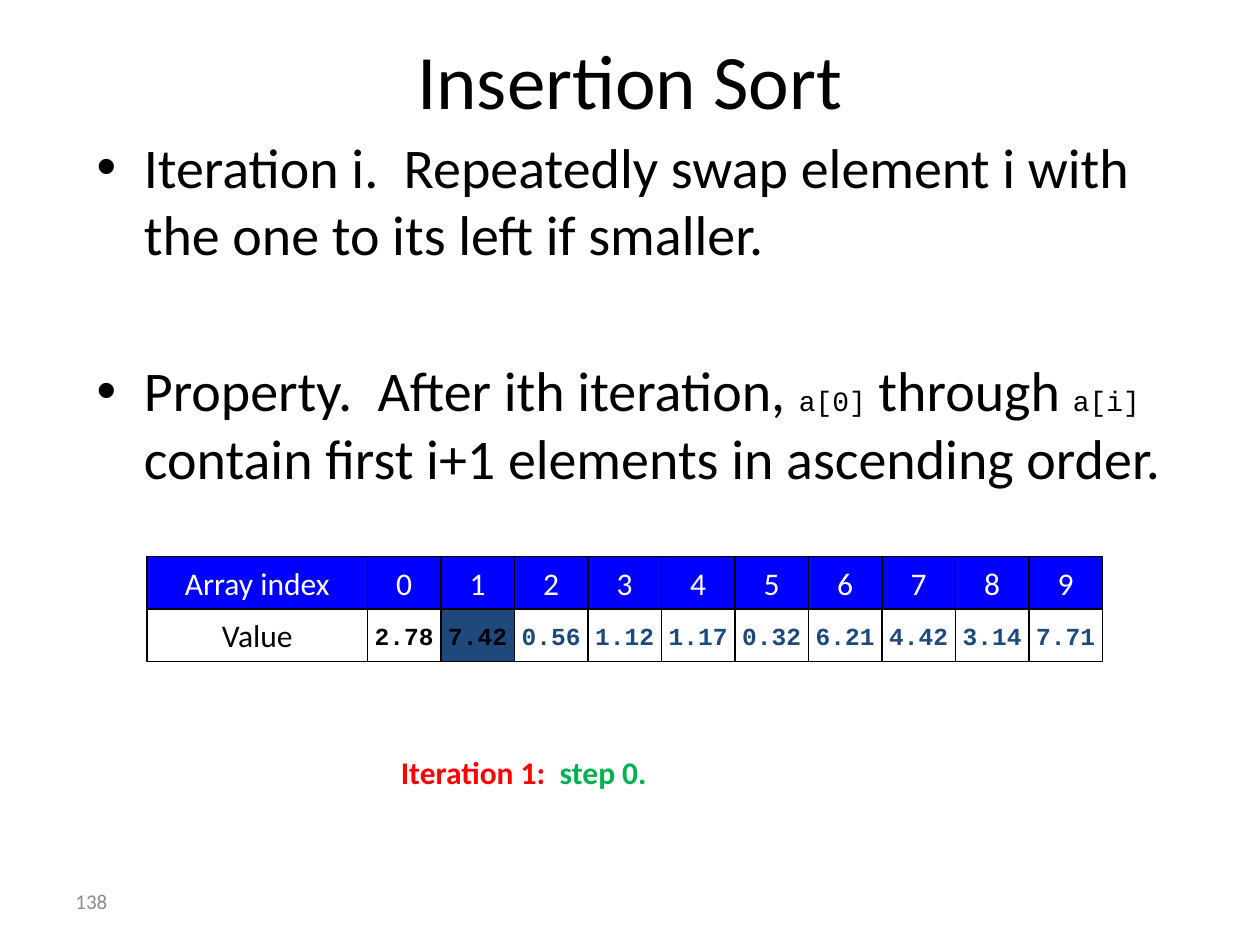
from pptx import Presentation
from pptx.dml.color import RGBColor
from pptx.enum.shapes import MSO_SHAPE
from pptx.enum.text import MSO_ANCHOR, MSO_AUTO_SIZE, PP_ALIGN
from pptx.util import Pt

COLORS = {
    "black": "000000", "white": "FFFFFF", "header": "0000FF", "navy": "1F497D",
    "red": "FF0000", "green": "00B050", "gray": "8C8C8C",
}
VALUES = ["2.78", "7.42", "0.56", "1.12", "1.17", "0.32", "6.21", "4.42", "3.14", "7.71"]
CURRENT = 1
LABEL_WIDTH, CELL_WIDTH, ROW_HEIGHT = 126, 42, 30

BODY = {"name": "Calibri", "size": 32, "color": "black"}
CODE = {"name": "Courier New", "size": 16, "color": "black"}
LABEL = {"name": "Calibri", "size": 18, "color": "black"}
HEADER = {**LABEL, "color": "white"}
VALUE = {"name": "Courier New", "size": 14, "bold": True}


def add_run(paragraph, text, style):
    run = paragraph.add_run()
    run.text = text
    for name, value in style.items():
        if name == "color":
            run.font.color.rgb = RGBColor.from_string(COLORS[value])
        else:
            setattr(run.font, name, Pt(value) if name == "size" else value)


def place(shape, box):
    for name, value in zip(("left", "top", "width", "height"), box):
        setattr(shape, name, Pt(value))


def add_title(slide, box):
    title = slide.shapes.title
    place(title, box)
    title.text_frame.vertical_anchor = MSO_ANCHOR.MIDDLE
    add_run(title.text_frame.paragraphs[0], "Insertion Sort", {**BODY, "size": 44})


def add_body(slide, box):
    body = slide.placeholders[1]
    place(body, box)
    frame = body.text_frame
    frame.auto_size = MSO_AUTO_SIZE.NONE
    add_run(frame.paragraphs[0],
            "Iteration i.  Repeatedly swap element i with the one to its left if smaller.", BODY)
    paragraph = frame.add_paragraph()
    paragraph.space_before = Pt(51)
    for text, style in (
        ("Property.  After ith iteration, ", BODY), ("a[0]", CODE), (" through ", BODY),
        ("a[i]", CODE), (" contain first i+1 elements in ascending order.", BODY),
    ):
        add_run(paragraph, text, style)


def add_cell(shapes, box, text, fill, style):
    cell = shapes.add_shape(MSO_SHAPE.RECTANGLE, *map(Pt, box))
    cell.shadow.inherit = False
    cell.fill.solid()
    cell.fill.fore_color.rgb = RGBColor.from_string(COLORS[fill])
    cell.line.color.rgb = RGBColor.from_string(COLORS["black"])
    cell.line.width = Pt(0.75)
    frame = cell.text_frame
    frame.word_wrap = False
    frame.vertical_anchor = MSO_ANCHOR.MIDDLE
    frame.paragraphs[0].alignment = PP_ALIGN.CENTER
    add_run(frame.paragraphs[0], text, style)


def add_array_row(shapes, left, top, cells):
    for index, (text, fill, style) in enumerate(cells):
        width = CELL_WIDTH if index else LABEL_WIDTH
        add_cell(shapes, (left, top, width, ROW_HEIGHT), text, fill, style)
        left += width


def add_array(slide, left, top):
    values = [("Value", "white", LABEL)]
    for index, value in enumerate(VALUES):
        fill = "navy" if index == CURRENT else "white"
        color = "black" if index <= CURRENT else "navy"
        values.append((value, fill, {**VALUE, "color": color}))
    labels = ["Array index", *map(str, range(len(VALUES)))]
    add_array_row(slide.shapes, left, top + ROW_HEIGHT, values)
    header = slide.shapes.add_group_shape()
    add_array_row(header.shapes, left, top, [(label, "header", HEADER) for label in labels])


def add_text(slide, box, runs, anchor=MSO_ANCHOR.TOP):
    frame = slide.shapes.add_textbox(*map(Pt, box)).text_frame
    frame.word_wrap = True
    frame.vertical_anchor = anchor
    for text, style in runs:
        add_run(frame.paragraphs[0], text, style)


def main():
    presentation = Presentation()
    presentation.slide_width, presentation.slide_height = Pt(720), Pt(540)
    slide = presentation.slides.add_slide(presentation.slide_layouts[1])
    add_title(slide, (36, 0, 648, 90))
    add_body(slide, (48, 72, 636, 426))
    add_array(slide, 84, 318)
    caption = {**LABEL, "bold": True}
    add_text(slide, (222, 427, 294, 29), [
        ("Iteration 1:  ", {**caption, "color": "red"}),
        ("step 0.", {**caption, "color": "green"}),
    ])
    add_text(slide, (36, 500.5, 168, 28.75),
             [("138", {**LABEL, "size": 12, "color": "gray"})], MSO_ANCHOR.MIDDLE)
    presentation.save("out.pptx")


if __name__ == "__main__":
    main()
